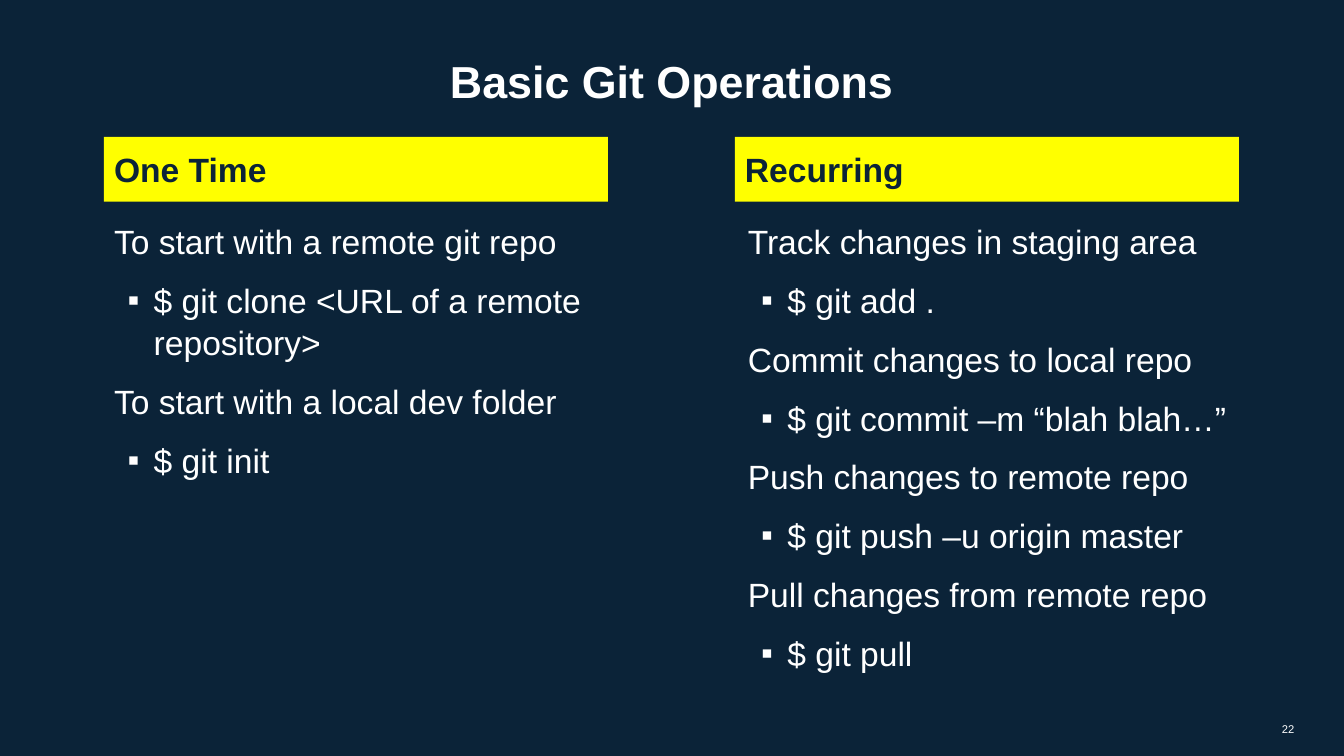
from lxml import etree
from pptx import Presentation
from pptx.dml.color import RGBColor
from pptx.enum.text import MSO_ANCHOR, MSO_AUTO_SIZE, PP_ALIGN
from pptx.oxml.ns import qn
from pptx.util import Cm, Pt

LEFT, CENTER, RIGHT = PP_ALIGN.LEFT, PP_ALIGN.CENTER, PP_ALIGN.RIGHT
TOP, MIDDLE = MSO_ANCHOR.TOP, MSO_ANCHOR.MIDDLE
FIXED = MSO_AUTO_SIZE.NONE
NAVY, YELLOW, WHITE = "0B2338", "FFFF00", "FFFFFF"
COMPARE = 4  # layout with a title and two headed columns

ONCE = [
    ("To start with a remote git repo", "$ git clone <URL of a remote repository>"),
    ("To start with a local dev folder", "$ git init"),
]
OFTEN = [
    ("Track changes in staging area", "$ git add ."),
    ("Commit changes to local repo", "$ git commit –m “blah blah…”"),
    ("Push changes to remote repo", "$ git push –u origin master"),
    ("Pull changes from remote repo", "$ git pull"),
]


def paint(fill, color):
    fill.solid()
    fill.fore_color.rgb = RGBColor.from_string(color)


def place(shape, left, top, width, height, anchor=TOP):
    shape.left, shape.top = Cm(left), Cm(top)
    shape.width, shape.height = Cm(width), Cm(height)
    frame = shape.text_frame
    frame.word_wrap, frame.auto_size = True, FIXED
    frame.vertical_anchor = anchor
    return frame


def write(para, text, size=24, color=WHITE, bold=False, align=LEFT, gap=6):
    run = para.add_run()
    run.text = text
    font = run.font
    font.name, font.size, font.bold = "Arial", Pt(size), bold
    paint(font.fill, color)
    para.alignment = align
    para.space_before = para.space_after = Pt(gap)


def mark(para, sign=None):
    """Set the bullet sign and its indent, or clear both."""
    props = para._p.get_or_add_pPr()
    props.set("marL", str(Cm(1) if sign else 0))
    props.set("indent", str(Cm(-0.66) if sign else 0))
    if sign:
        etree.SubElement(props, qn("a:buFont"), typeface="Arial")
        etree.SubElement(props, qn("a:buChar"), char=sign)
    else:
        etree.SubElement(props, qn("a:buNone"))


def title(shape, text):
    frame = place(shape, 1.27, 1.07, 31.32, 1.93, MIDDLE)
    write(frame.paragraphs[0], text, size=32, bold=True, align=CENTER, gap=0)


def column(head, body, left, top, name, steps, shift=0):
    # Yellow heading bar
    frame = place(head, left, top, 12.7, 1.63, MIDDLE)
    paint(head.fill, YELLOW)
    write(frame.paragraphs[0], name, color=NAVY, bold=True)
    mark(frame.paragraphs[0])

    # Tasks, each with its command below
    frame = place(body, left + shift, top + 1.96, 12.7, 11.96)
    lines = [(text, level) for step in steps for level, text in enumerate(step)]
    for i, (text, level) in enumerate(lines):
        para = frame.add_paragraph() if i else frame.paragraphs[0]
        para.level = level
        para.line_spacing = 1.04
        write(para, text)
        mark(para, "▪" if level else None)


def number(slide, text):
    box = slide.shapes.add_textbox(0, 0, 0, 0)
    frame = place(box, 30.38, 18.01, 2.24, 0.71, MIDDLE)
    frame.margin_left = frame.margin_right = 0
    write(frame.paragraphs[0], text, size=8, align=RIGHT, gap=0)


def main():
    deck = Presentation()
    deck.slide_width, deck.slide_height = Cm(33.87), Cm(19.05)
    slide = deck.slides.add_slide(deck.slide_layouts[COMPARE])
    paint(slide.background.fill, NAVY)

    top, head, body, head2, body2 = slide.placeholders
    title(top, "Basic Git Operations")
    column(head, body, 2.62, 3.45, "One Time", ONCE)
    column(head2, body2, 18.52, 3.45, "Recurring", OFTEN, shift=0.07)
    number(slide, "22")
    deck.save("out.pptx")


if __name__ == "__main__":
    main()
